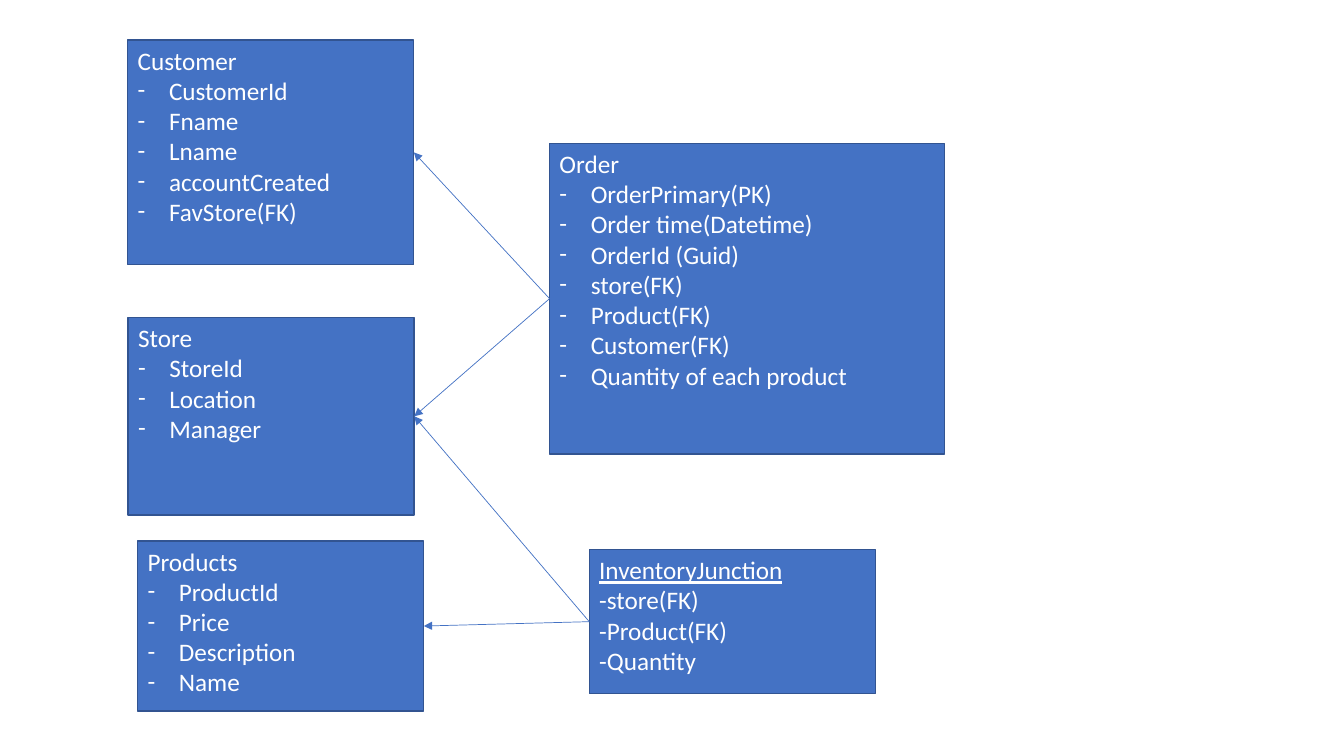
from dataclasses import dataclass

from lxml.etree import SubElement
from pptx import Presentation
from pptx.dml.color import RGBColor
from pptx.enum.shapes import MSO_CONNECTOR as Connector, MSO_SHAPE as Shape
from pptx.enum.text import MSO_ANCHOR as Anchor, PP_ALIGN as Align
from pptx.oxml.ns import qn
from pptx.util import Cm, Pt


@dataclass(frozen=True)
class Theme:
    fill: RGBColor = RGBColor.from_string("4472C4")
    border: RGBColor = RGBColor.from_string("325491")
    text: RGBColor = RGBColor.from_string("FFFFFF")
    font: str = "Calibri"
    size: Pt = Pt(18)
    border_width: Pt = Pt(1)
    arrow_width: Pt = Pt(0.5)
    indent: Cm = Cm(0.79)


THEME = Theme()
LEFT_SITE, RIGHT_SITE = 1, 3

# Name: (left, top, width, height) in centimetres, fields
ENTITIES = {
    "Store": ((3.23, 8, 7.21, 4.98), ["StoreId", "Location", "Manager"]),
    "Products": ((3.47, 13.63, 7.21, 4.29),
                 ["ProductId", "Price", "Description", "Name"]),
    "Order": ((13.85, 3.61, 9.95, 7.83),
              ["OrderPrimary(PK)", "Order time(Datetime)", "OrderId (Guid)",
               "store(FK)", "Product(FK)", "Customer(FK)",
               "Quantity of each product"]),
    "Customer": ((3.22, 1.01, 7.21, 5.66),
                 ["CustomerId", "Fname", "Lname", "accountCreated",
                  "FavStore(FK)"]),
    "InventoryJunction": ((14.85, 13.85, 7.21, 3.63),
                          ["-store(FK)", "-Product(FK)", "-Quantity"]),
}
JUNCTION = "InventoryJunction"
RELATIONS = [(JUNCTION, "Store"), (JUNCTION, "Products"),
             ("Order", "Customer"), ("Order", "Store")]


def set_format(target, values):
    for name, value in values.items():
        setattr(target, name, value)


def add_dash(para):
    """Give the paragraph a hanging dash bullet."""
    properties = para._p.get_or_add_pPr()
    properties.set("marL", str(THEME.indent))
    properties.set("indent", str(-THEME.indent))
    SubElement(properties, qn("a:buFont"), typeface=THEME.font)
    SubElement(properties, qn("a:buChar"), char="-")


def add_line(para, text, underline=None):
    para.alignment = Align.LEFT
    span = para.add_run()
    span.text = text
    set_format(span.font, {"name": THEME.font, "size": THEME.size,
                           "underline": underline})
    span.font.color.rgb = THEME.text


def add_entity(page, box, name, fields):
    """Draw one entity; a junction has an underlined name and typed dashes."""
    entity = page.shapes.add_shape(Shape.RECTANGLE, *map(Cm, box))
    entity.shadow.inherit = False
    entity.fill.solid()
    entity.fill.fore_color.rgb = THEME.fill
    entity.line.color.rgb = THEME.border
    entity.line.width = THEME.border_width
    frame = entity.text_frame
    set_format(frame, {"word_wrap": True, "vertical_anchor": Anchor.TOP})
    is_junction = name == JUNCTION
    add_line(frame.paragraphs[0], name, underline=is_junction or None)
    for field in fields:
        para = frame.add_paragraph()
        if not is_junction:
            add_dash(para)
        add_line(para, field)
    return entity


def add_relation(page, source, target):
    """Point an arrow from the source's left side to the target's right."""
    arrow = page.shapes.add_connector(
        Connector.STRAIGHT,
        source.left, source.top + source.height // 2,
        target.left + target.width, target.top + target.height // 2)
    arrow.begin_connect(source, LEFT_SITE)
    arrow.end_connect(target, RIGHT_SITE)
    arrow.line.color.rgb = THEME.fill
    arrow.line.width = THEME.arrow_width
    SubElement(arrow.line._get_or_add_ln(), qn("a:tailEnd"), type="triangle")
    SubElement(arrow._element.spPr, qn("a:effectLst"))


def add_diagram(page):
    entities = {name: add_entity(page, box, name, fields)
                for name, (box, fields) in ENTITIES.items()}
    for source, target in RELATIONS:
        add_relation(page, entities[source], entities[target])


def main():
    deck = Presentation()
    set_format(deck, {"slide_width": Cm(33.87), "slide_height": Cm(19.05)})
    blank_layout = deck.slide_layouts[6]
    add_diagram(deck.slides.add_slide(blank_layout))
    deck.save("out.pptx")


if __name__ == "__main__":
    main()
